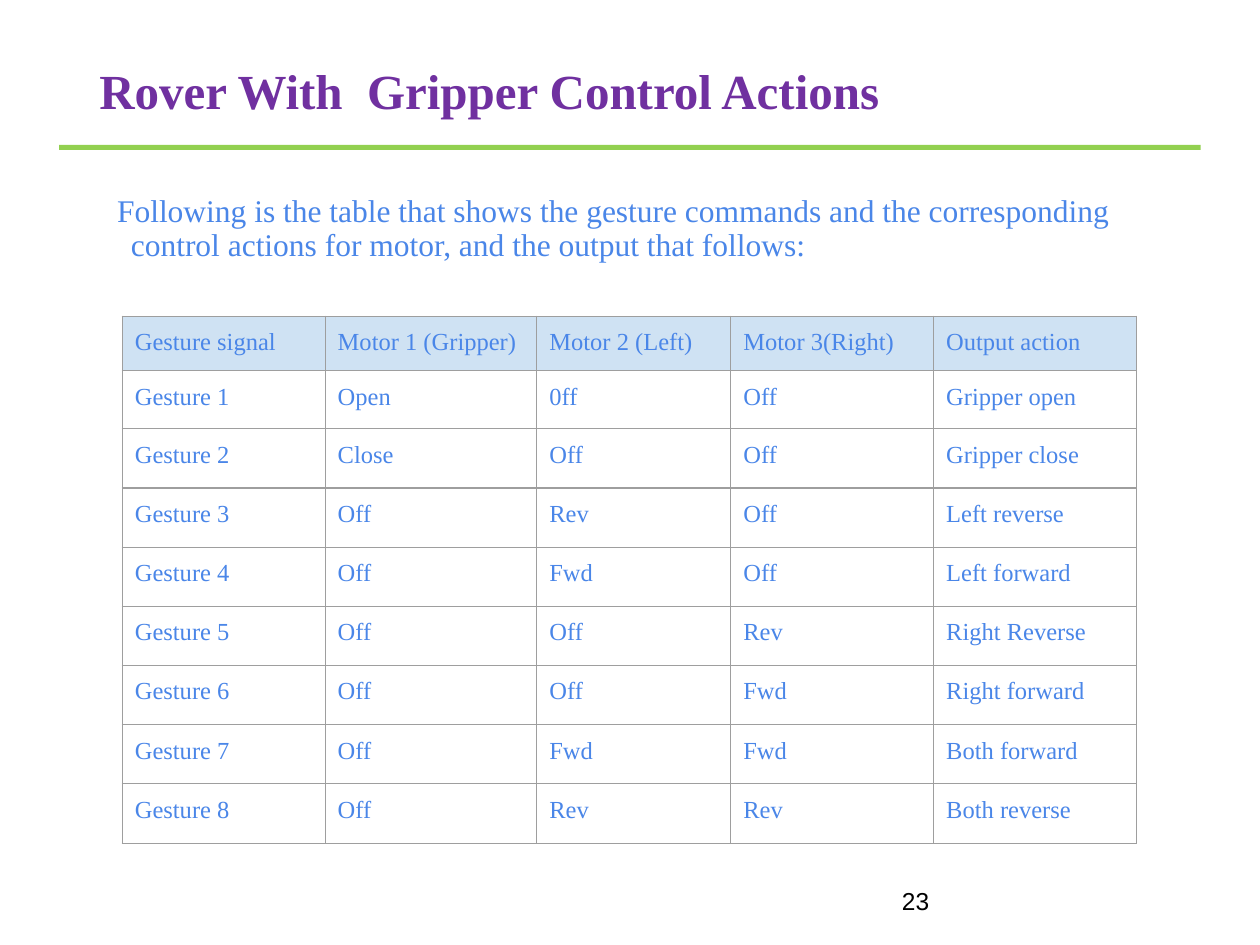
import pptx
import pptx.dml.color
import pptx.enum.shapes
import pptx.enum.text
import pptx.oxml.ns
import pptx.util
from lxml import etree

COLORS = {
    "title": "7030A0", "text": "4A86E8", "rule": "92D050", "number": "000000",
    "header": "CFE2F3", "border": "9E9E9E",
}
SERIF, SANS = "Times New Roman", "Arial"
ANCHOR = pptx.enum.text.MSO_ANCHOR

HEADERS = ["Gesture signal", "Motor 1 (Gripper)", "Motor 2 (Left)",
           "Motor 3(Right)", "Output action"]
ACTIONS = [
    ("Open", "0ff", "Off", "Gripper open"),
    ("Close", "Off", "Off", "Gripper close"),
    ("Off", "Rev", "Off", "Left reverse"),
    ("Off", "Fwd", "Off", "Left forward"),
    ("Off", "Off", "Rev", "Right Reverse"),
    ("Off", "Off", "Fwd", "Right forward"),
    ("Off", "Fwd", "Fwd", "Both forward"),
    ("Off", "Rev", "Rev", "Both reverse"),
]


def rgb(name):
    return pptx.dml.color.RGBColor.from_string(COLORS[name])


class SlideBuilder:
    """Draws on a grid of 100 columns by 75 rows."""

    def __init__(self, prs):
        self.unit = prs.slide_width / 100
        self.slide = prs.slides.add_slide(prs.slide_layouts[6])

    def grid(self, *values):
        return [pptx.util.Emu(round(v * self.unit)) for v in values]

    def add_run(self, p, text, size, color, font=SERIF, bold=False):
        r = p.add_run()
        r.text = text
        r.font.size = pptx.util.Pt(size)
        r.font.name = font
        r.font.bold = bold
        r.font.color.rgb = rgb(color)

    def text(self, box, text, size, color, font=SERIF, bold=False,
             anchor=ANCHOR.TOP, pad=1, spacing=None, indent=None):
        tf = self.slide.shapes.add_textbox(*self.grid(*box)).text_frame
        tf.word_wrap = True
        tf.vertical_anchor = anchor
        tf.margin_left, tf.margin_right = self.grid(1, 1)
        tf.margin_top, tf.margin_bottom = self.grid(pad, pad)
        p = tf.paragraphs[0]
        if spacing:
            p.line_spacing = spacing
        if indent:
            left, first = self.grid(*indent)
            pPr = p._p.get_or_add_pPr()
            pPr.set("marL", str(left))
            pPr.set("indent", str(first))
        self.add_run(p, text, size, color, font, bold)

    def bar(self, box, color):
        sp = self.slide.shapes.add_shape(
            pptx.enum.shapes.MSO_SHAPE.RECTANGLE, *self.grid(*box))
        sp.shadow.inherit = False
        sp.fill.solid()
        sp.fill.fore_color.rgb = rgb(color)
        sp.line.fill.background()

    def borders(self, cell):
        qn = pptx.oxml.ns.qn
        tcPr = cell._tc.get_or_add_tcPr()
        for side in ("lnL", "lnR", "lnT", "lnB"):
            ln = etree.SubElement(tcPr, qn(f"a:{side}"), w=str(pptx.util.Pt(0.75)))
            fill = etree.SubElement(ln, qn("a:solidFill"))
            etree.SubElement(fill, qn("a:srgbClr"), val=COLORS["border"])

    def table(self, left, top, widths, heights, rows):
        box = self.grid(left, top, sum(widths), sum(heights))
        table = self.slide.shapes.add_table(len(rows), len(widths), *box).table
        for column, width in zip(table.columns, self.grid(*widths)):
            column.width = width
        for row, height in zip(table.rows, self.grid(*heights)):
            row.height = height
        for i, row in enumerate(rows):
            for j, text in enumerate(row):
                cell = table.cell(i, j)
                cell.margin_left, cell.margin_right = self.grid(1, 1)
                cell.margin_top, cell.margin_bottom = self.grid(1, 1)
                self.borders(cell)
                if i == 0:
                    cell.fill.solid()
                    cell.fill.fore_color.rgb = rgb("header")
                else:
                    cell.fill.background()
                self.add_run(cell.text_frame.paragraphs[0], text, 14, "text")


def main():
    prs = pptx.Presentation()
    prs.slide_width = pptx.util.Inches(10)
    prs.slide_height = pptx.util.Inches(7.5)
    s = SlideBuilder(prs)

    # Title and rule
    s.bar((4.7, 11.5, 90.6, 0.4), "rule")
    s.text((6.9, 4, 86.2, 6.9), "Rover With  Gripper Control Actions", 28, "title",
           bold=True, anchor=ANCHOR.MIDDLE, spacing=0.9)

    # Introduction
    s.text((6.9, 14.5, 86.2, 53),
           "Following is the table that shows the gesture commands and the "
           "corresponding control actions for motor, and the output that follows:",
           18, "text", spacing=0.9, indent=(2.5, -1.1))

    # Slide number
    s.text((70.6, 69.5, 22.5, 4), "23", 14, "number", font=SANS,
           anchor=ANCHOR.MIDDLE, pad=0.5)

    # Gesture table
    rows = [HEADERS] + [(f"Gesture {n}", *row) for n, row in enumerate(ACTIONS, 1)]
    s.table(9.7, 25.1, [16.1, 16.8, 15.4, 16.1, 16.1],
            [3.8, 4.6] + [4.7] * 7, rows)

    prs.save("out.pptx")


if __name__ == "__main__":
    main()
